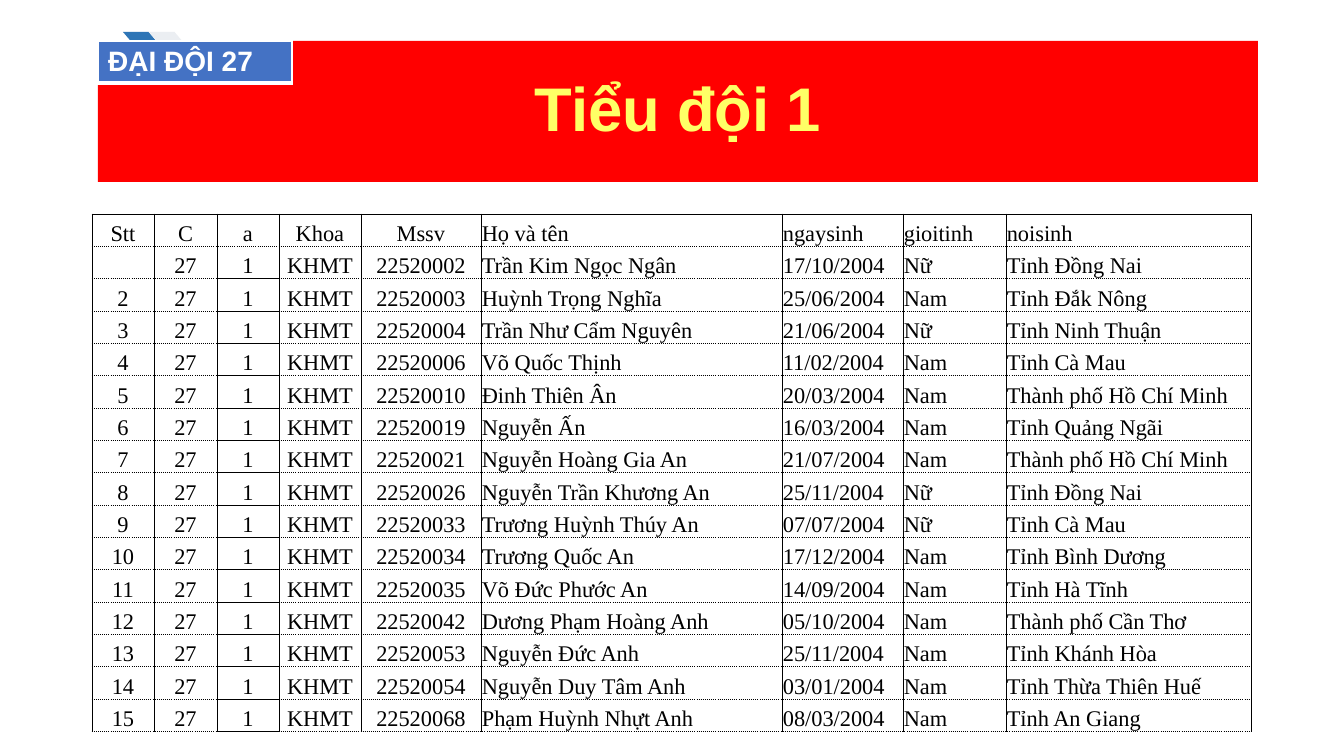
"""Build the roster slide of squad 1, company 27."""
from lxml import etree
from pptx import Presentation
from pptx.dml.color import RGBColor
from pptx.enum.shapes import MSO_SHAPE
from pptx.enum.text import MSO_ANCHOR, PP_ALIGN
from pptx.oxml.ns import qn
from pptx.util import Pt

CHEVRON, RECT = MSO_SHAPE.CHEVRON, MSO_SHAPE.RECTANGLE
TOP, MIDDLE, BOTTOM = MSO_ANCHOR.TOP, MSO_ANCHOR.MIDDLE, MSO_ANCHOR.BOTTOM
LEFT, CENTER = PP_ALIGN.LEFT, PP_ALIGN.CENTER

TITLE = "Tiểu đội 1"
COMPANY = "ĐẠI ĐỘI 27"
HEADER = ("Stt", "C", "a", "Khoa", "Mssv", "Họ và tên", "ngaysinh", "gioitinh", "noisinh")
COMMON = ("27", "1", "KHMT")
STUDENTS = [
    ("", "22520002", "Trần Kim Ngọc Ngân", "17/10/2004", "Nữ", "Tỉnh Đồng Nai"),
    ("2", "22520003", "Huỳnh Trọng Nghĩa", "25/06/2004", "Nam", "Tỉnh Đắk Nông"),
    ("3", "22520004", "Trần Như Cẩm Nguyên", "21/06/2004", "Nữ", "Tỉnh Ninh Thuận"),
    ("4", "22520006", "Võ Quốc Thịnh", "11/02/2004", "Nam", "Tỉnh Cà Mau"),
    ("5", "22520010", "Đinh Thiên Ân", "20/03/2004", "Nam", "Thành phố Hồ Chí Minh"),
    ("6", "22520019", "Nguyễn Ấn", "16/03/2004", "Nam", "Tỉnh Quảng Ngãi"),
    ("7", "22520021", "Nguyễn Hoàng Gia An", "21/07/2004", "Nam", "Thành phố Hồ Chí Minh"),
    ("8", "22520026", "Nguyễn Trần Khương An", "25/11/2004", "Nữ", "Tỉnh Đồng Nai"),
    ("9", "22520033", "Trương Huỳnh Thúy An", "07/07/2004", "Nữ", "Tỉnh Cà Mau"),
    ("10", "22520034", "Trương Quốc An", "17/12/2004", "Nam", "Tỉnh Bình Dương"),
    ("11", "22520035", "Võ Đức Phước An", "14/09/2004", "Nam", "Tỉnh Hà Tĩnh"),
    ("12", "22520042", "Dương Phạm Hoàng Anh", "05/10/2004", "Nam", "Thành phố Cần Thơ"),
    ("13", "22520053", "Nguyễn Đức Anh", "25/11/2004", "Nam", "Tỉnh Khánh Hòa"),
    ("14", "22520054", "Nguyễn Duy Tâm Anh", "03/01/2004", "Nam", "Tỉnh Thừa Thiên Huế"),
    ("15", "22520068", "Phạm Huỳnh Nhựt Anh", "08/03/2004", "Nam", "Tỉnh An Giang"),
]
COLORS = {"blue": "2E75B6", "pale": "EBEEF2", "red": "FF0000", "yellow": "FFFF66",
          "badge": "4472C4", "white": "FFFFFF", "black": "000000"}
SHAPES = [
    (CHEVRON, (123, 32, 51, 60), "blue"),
    (CHEVRON, (149, 32, 51, 60), "pale"),
    (RECT, (98, 41, 1160, 141), "red"),
]
BADGE_BOX = (98, 41, 194, 42)
ROSTER_LEFT, ROSTER_TOP, ROSTER_HEIGHT = 92, 214, 518
COL_WIDTHS = (62, 63, 62, 82, 120, 301, 121, 103, 245)
SQUAD_COL, CENTERED_COLS = 2, 5


def px(value):
    return round(value * 914400 / 100.8)


def rgb(name):
    return RGBColor.from_string(COLORS[name])


def write(p, text, size, font, color, bold=False, align=LEFT):
    p.text = text
    p.alignment = align
    for r in p.runs:
        f = r.font
        f.size, f.name, f.bold = Pt(size), font, bold
        f.color.rgb = rgb(color)


def add_plain_table(s, rows, box, widths):
    table = s.shapes.add_table(rows, len(widths), *map(px, box)).table
    table.first_row = table.horz_banding = False
    for col, width in zip(table.columns, widths):
        col.width = px(width)
    for row in table.rows:
        row.height = px(box[3] / rows)
    return table


def set_borders(cell, color, widths, dashes=("solid",) * 4):
    tcPr = cell._tc.get_or_add_tcPr()
    for side, width, dash in zip("LRTB", widths, dashes):
        ln = etree.SubElement(tcPr, qn(f"a:ln{side}"), w=str(Pt(width)))
        fill = etree.SubElement(ln, qn("a:solidFill"))
        etree.SubElement(fill, qn("a:srgbClr"), val=COLORS[color])
        etree.SubElement(ln, qn("a:prstDash"), val=dash)


def add_roster(s):
    rows = [HEADER] + [(number, *COMMON, *rest) for number, *rest in STUDENTS]
    box = (ROSTER_LEFT, ROSTER_TOP, sum(COL_WIDTHS), ROSTER_HEIGHT)
    table = add_plain_table(s, len(rows), box, COL_WIDTHS)
    for i, row in enumerate(rows):
        for j, text in enumerate(row):
            cell = table.cell(i, j)
            squad = j == SQUAD_COL
            top = "solid" if i == 0 or (squad and i > 1) else "dot"
            bottom = "solid" if squad and i > 0 else "dot"
            set_borders(cell, "black", (0.5,) * 4, ("solid", "solid", top, bottom))
            cell.fill.background()
            cell.margin_left = cell.margin_right = cell.margin_top = px(1)
            cell.margin_bottom = 0
            cell.vertical_anchor = BOTTOM
            align = CENTER if j < CENTERED_COLS else LEFT
            write(cell.text_frame.paragraphs[0], text, 16, "Times New Roman", "black", align=align)


def main():
    prs = Presentation()
    prs.slide_width, prs.slide_height = px(1344), px(756)
    s = prs.slides.add_slide(prs.slide_layouts[6])

    for kind, box, color in SHAPES:
        sp = s.shapes.add_shape(kind, *map(px, box))
        sp.shadow.inherit = False
        sp.fill.solid()
        sp.fill.fore_color.rgb = rgb(color)
        sp.line.fill.background()

    tf = sp.text_frame
    tf.word_wrap = True
    tf.vertical_anchor = MIDDLE
    p = tf.paragraphs[0]
    write(p, TITLE, 44, "Arial", "yellow", bold=True, align=CENTER)
    p.line_spacing = 0.9

    badge = add_plain_table(s, 1, BADGE_BOX, BADGE_BOX[2:3]).cell(0, 0)
    set_borders(badge, "white", (1, 1, 1, 3))
    badge.fill.solid()
    badge.fill.fore_color.rgb = rgb("badge")
    badge.vertical_anchor = TOP
    write(badge.text_frame.paragraphs[0], COMPANY, 20, "Arial", "white", bold=True)

    add_roster(s)
    prs.save("out.pptx")


if __name__ == "__main__":
    main()
